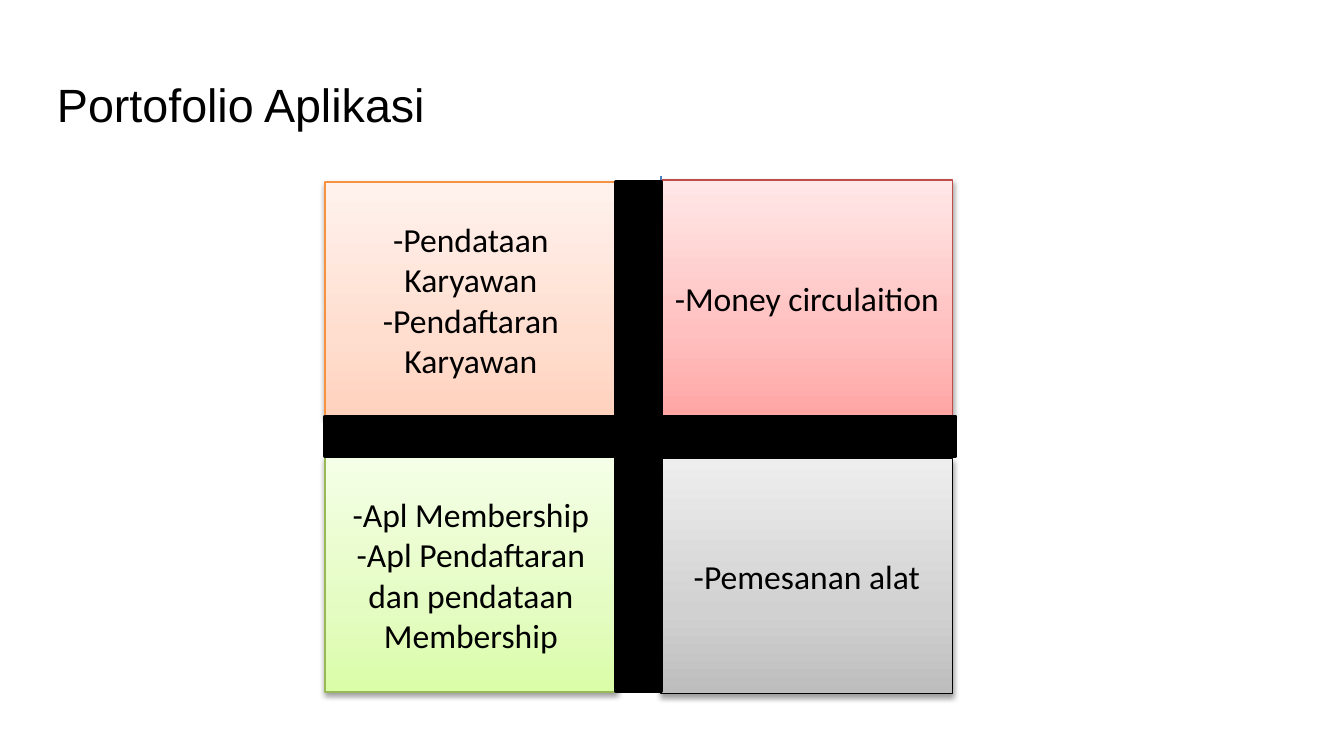
"""Build the application portfolio slide: four quadrants divided by a black cross."""
from dataclasses import dataclass

from pptx import Presentation
from pptx.dml.color import RGBColor
from pptx.enum.shapes import MSO_CONNECTOR as CONN, MSO_SHAPE as SHAPE
from pptx.enum.text import MSO_ANCHOR as ANCHOR, MSO_AUTO_SIZE as AUTO, PP_ALIGN as ALIGN
from pptx.oxml import parse_xml
from pptx.oxml.ns import nsdecls
from pptx.util import Pt


@dataclass(frozen=True)
class Theme:
    title_font: str = "Arial"
    title_size: int = 25
    body_font: str = "Calibri"
    body_size: int = 18
    black: str = "000000"
    axis: str = "4B7EBC"
    orange: tuple = ("F69240", "FFD2BD", "FFDED0", "FFF2ED")
    gray: tuple = ("000000", "BDBDBD", "D1D1D1", "EEEEEE")
    green: tuple = ("98B955", "DAFDA7", "E4FCC2", "F5FFE7")
    red: tuple = ("BF4C48", "FFA6A5", "FFC0BF", "FFE7E7")


def add_box(left, top, width, height, line, weight):
    s = slide.shapes.add_shape(SHAPE.RECTANGLE, Pt(left), Pt(top), Pt(width), Pt(height))
    s.line.color.rgb = RGBColor.from_string(line)
    s.line.width = Pt(weight)
    return s


def format_text(p, font, size, align):
    p.font.name = font
    p.font.size = Pt(size)
    p.font.color.rgb = RGBColor.from_string(theme.black)
    p.alignment = align


theme = Theme()
prs = Presentation()
prs.slide_width, prs.slide_height = Pt(720), Pt(405)
slide = prs.slides.add_slide(prs.slide_layouts[5])

title = slide.shapes.title
title.left, title.top, title.width, title.height = Pt(30.5), Pt(39.5), Pt(200), Pt(32.5)
tf = title.text_frame
tf.text = "Portofolio Aplikasi"
tf.auto_size = AUTO.NONE
tf.word_wrap = True
tf.vertical_anchor = ANCHOR.TOP
tf.margin_left = tf.margin_right = tf.margin_bottom = 0
tf.margin_top = Pt(1.3)
p = tf.paragraphs[0]
p.space_before = Pt(1.2)
format_text(p, theme.title_font, theme.title_size, ALIGN.LEFT)

left_col, right_col = 174.2, 354.2
quadrants = [
    (left_col, 97.5, theme.orange, ["-Pendataan Karyawan", "-Pendaftaran Karyawan"]),
    (right_col, 245.7, theme.gray, ["-Pemesanan alat"]),
    (left_col, 244.8, theme.green,
     ["-Apl Membership", "-Apl Pendaftaran dan pendataan Membership"]),
    (right_col, 96.5, theme.red, ["-Money circulaition"]),
]
for left, top, (border, *shades), lines in quadrants:
    s = add_box(left, top, 156.2, 126, border, 0.75)
    stops = "".join(
        f'<a:gs pos="{pos * 1000}"><a:srgbClr val="{shade}"/></a:gs>'
        for pos, shade in zip((0, 35, 100), shades))
    spPr = s._element.spPr
    spPr.insert(2, parse_xml(
        f'<a:gradFill {nsdecls("a")} rotWithShape="1"><a:gsLst>{stops}</a:gsLst>'
        '<a:lin ang="16200000" scaled="1"/></a:gradFill>'))
    spPr.append(parse_xml(
        f'<a:effectLst {nsdecls("a")}><a:outerShdw blurRad="{Pt(3.1)}" dist="{Pt(1.6)}" '
        f'dir="5400000" rotWithShape="0"><a:srgbClr val="{theme.black}">'
        '<a:alpha val="38000"/></a:srgbClr></a:outerShdw></a:effectLst>'))
    tf = s.text_frame
    tf.word_wrap = True
    tf.vertical_anchor = ANCHOR.MIDDLE
    tf.text = "\n".join(lines)
    for p in tf.paragraphs:
        format_text(p, theme.body_font, theme.body_size, ALIGN.CENTER)

axis = slide.shapes.add_connector(
    CONN.STRAIGHT, Pt(right_col), Pt(94.3), Pt(right_col), Pt(184.3))
axis.line.color.rgb = RGBColor.from_string(theme.axis)
axis.line.width = Pt(0.75)
axis._element.spPr.append(parse_xml(f'<a:effectLst {nsdecls("a")}/>'))

for left, top, width, height in [(330, 97.4, 24, 273), (174, 223.3, 338, 21)]:
    bar = add_box(left, top, width, height, theme.black, 2)
    bar.fill.solid()
    bar.fill.fore_color.rgb = RGBColor.from_string(theme.black)
    bar.shadow.inherit = False

prs.save("out.pptx")
